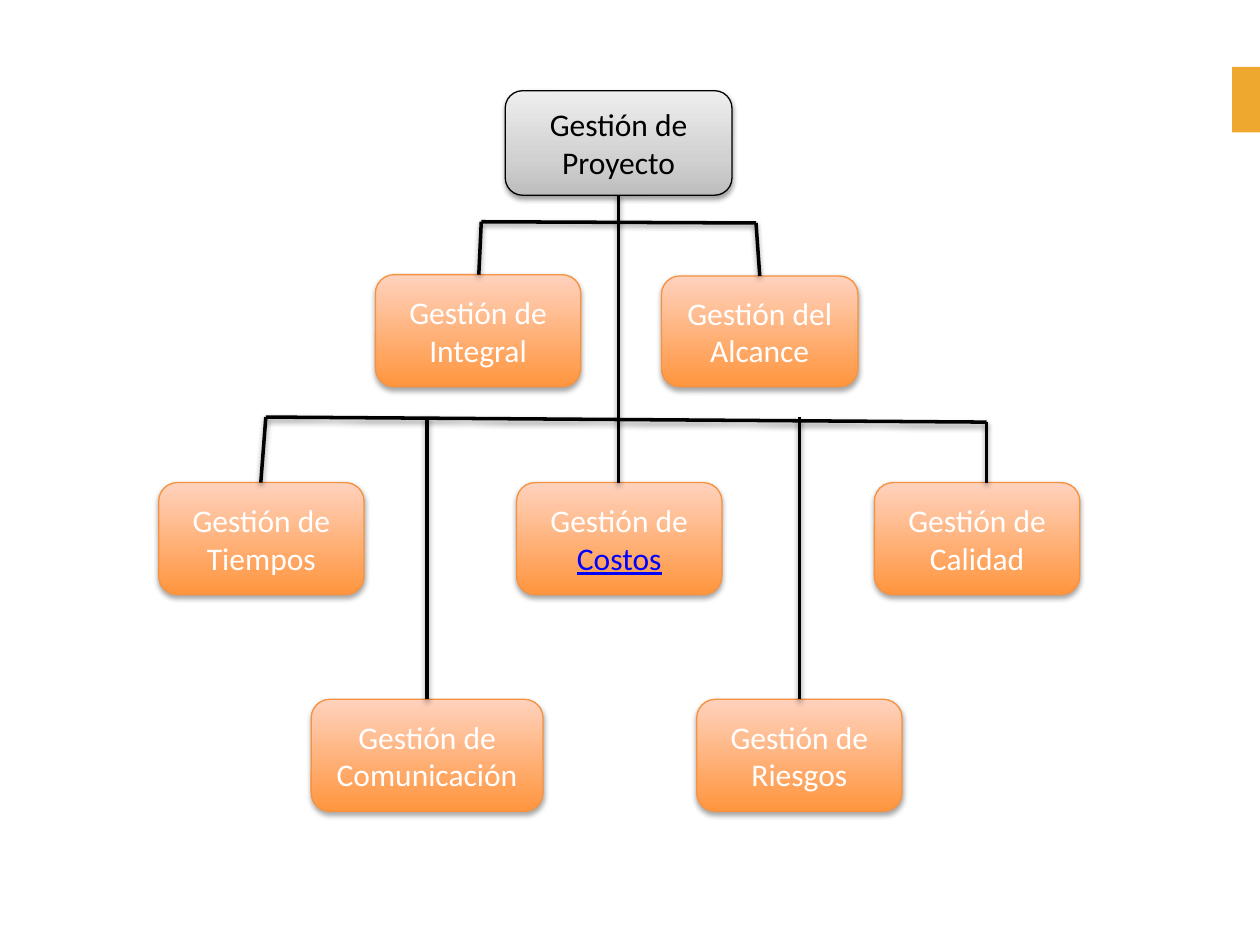
import pptx
import pptx.util
import pptx.dml.color
import pptx.enum.shapes
import pptx.enum.text
import pptx.oxml
import pptx.oxml.ns

Inches = pptx.util.Inches
Pt = pptx.util.Pt
RGB = pptx.dml.color.RGBColor
Kind = pptx.enum.shapes.MSO_SHAPE

BLACK = RGB(0x00, 0x00, 0x00)
WHITE = RGB(0xFF, 0xFF, 0xFF)
BLUE = RGB(0x00, 0x00, 0xFF)
GOLD = RGB(0xEF, 0xA8, 0x2F)
RIM = RGB(0xF6, 0x92, 0x40)
GREY = [(0, RGB(0xBD, 0xBD, 0xBD)), (35, RGB(0xD1, 0xD1, 0xD1)),
        (100, RGB(0xEE, 0xEE, 0xEE))]
ORANGE = [(0, RGB(0xFF, 0x95, 0x3E)), (100, RGB(0xFF, 0xD2, 0xBD))]
NS = pptx.oxml.ns.nsdecls("a")
WIDE, HIGH = 1.63, 0.89


def shade(shape, alpha, dist):
    """Add a soft shadow that falls straight down."""
    shape._element.spPr.append(pptx.oxml.parse_xml(
        f'<a:effectLst {NS}><a:outerShdw blurRad="{Pt(3.1)}" '
        f'dist="{Pt(dist)}" dir="5400000" rotWithShape="0">'
        f'<a:srgbClr val="000000"><a:alpha val="{alpha * 1000}"/></a:srgbClr>'
        '</a:outerShdw></a:effectLst>'))


def blend(shape, stops):
    """Fill with a gradient that runs from bottom to top."""
    shape.fill.gradient()
    shape.fill.gradient_angle = 90
    old = shape._element.spPr.find(".//" + pptx.oxml.ns.qn("a:gsLst"))
    marks = "".join(f'<a:gs pos="{pos * 1000}"><a:srgbClr val="{tint}"/></a:gs>'
                    for pos, tint in stops)
    new = pptx.oxml.parse_xml(f"<a:gsLst {NS}>{marks}</a:gsLst>")
    old.getparent().replace(old, new)


def node(slide, box, runs, stops=ORANGE, rim=RIM, ink=WHITE, alpha=35, dist=1.8):
    """Draw one rounded box; runs are (text, is link) pairs."""
    shape = slide.shapes.add_shape(Kind.ROUNDED_RECTANGLE, *map(Inches, box))
    blend(shape, stops)
    shape.line.color.rgb = rim
    shape.line.width = Pt(0.75)
    shade(shape, alpha, dist)
    frame = shape.text_frame
    frame.word_wrap = True
    frame.vertical_anchor = pptx.enum.text.MSO_ANCHOR.MIDDLE
    para = frame.paragraphs[0]
    para.alignment = pptx.enum.text.PP_ALIGN.CENTER
    for text, link in runs:
        run = para.add_run()
        run.text = text
        run.font.name = "Calibri"
        run.font.size = Pt(18)
        run.font.color.rgb = BLUE if link else ink
        if link:
            run.font.underline = True


def wire(slide, *points):
    """Join the points with straight lines."""
    for start, end in zip(points, points[1:]):
        line = slide.shapes.add_connector(
            pptx.enum.shapes.MSO_CONNECTOR.STRAIGHT, *map(Inches, start + end))
        line.line.color.rgb = BLACK
        line.line.width = Pt(2)
        shade(line, 38, 1.6)


def accent(slide, box):
    bar = slide.shapes.add_shape(Kind.RECTANGLE, *map(Inches, box))
    bar.shadow.inherit = False
    bar.fill.solid()
    bar.fill.fore_color.rgb = GOLD
    bar.line.fill.background()


def upper(slide, box):
    """Project box with its two direct branches."""
    x, y, w, h = box
    row = y + h - HIGH
    node(slide, (x + 1.03, y, 1.8, 0.83), [("Gestión de Proyecto", False)],
         GREY, BLACK, BLACK, 38, 1.6)
    node(slide, (x, row, WIDE, HIGH), [("Gestión de Integral", False)])
    node(slide, (x + w - 1.56, row + 0.01, 1.56, 0.88),
         [("Gestión del Alcance", False)])
    wire(slide, (x + 0.82, row), (x + 0.84, y + 1.04),
         (x + 3.02, y + 1.05), (x + w - 0.78, row + 0.01))


def lower(slide, box):
    """Row of three areas, and two more hanging below it."""
    x, y, w, h = box
    row, base = y + 0.52, y + h - HIGH
    step = (w - WIDE) / 2
    areas = [[("Gestión de Tiempos", False)],
             [("Gestión de ", False), ("Costos", True)],
             [("Gestión de Calidad", False)]]
    for i, runs in enumerate(areas):
        node(slide, (x + i * step, row, WIDE, HIGH), runs)
    wire(slide, (x + 0.81, row), (x + 0.85, y),
         (x + 6.57, y + 0.04), (x + 6.57, row))
    for left, wide, text in [(1.21, 1.84, "Gestión de Comunicación"),
                             (4.27, WIDE, "Gestión de Riesgos")]:
        node(slide, (x + left, base, wide, HIGH), [(text, False)])
        mid = x + left + wide / 2
        wire(slide, (mid, y), (mid, base))


def main():
    deck = pptx.Presentation()
    deck.slide_width, deck.slide_height = Inches(10), Inches(7.5)
    slide = deck.slides.add_slide(deck.slide_layouts[6])
    accent(slide, (9.78, 0.53, 0.24, 0.52))
    upper(slide, (2.98, 0.72, 3.83, 2.35))
    lower(slide, (1.26, 3.31, 7.31, 3.13))
    # Trunk from the project box to the costs box
    wire(slide, (4.91, 1.55), (4.91, 3.83))
    deck.save("out.pptx")


if __name__ == "__main__":
    main()
